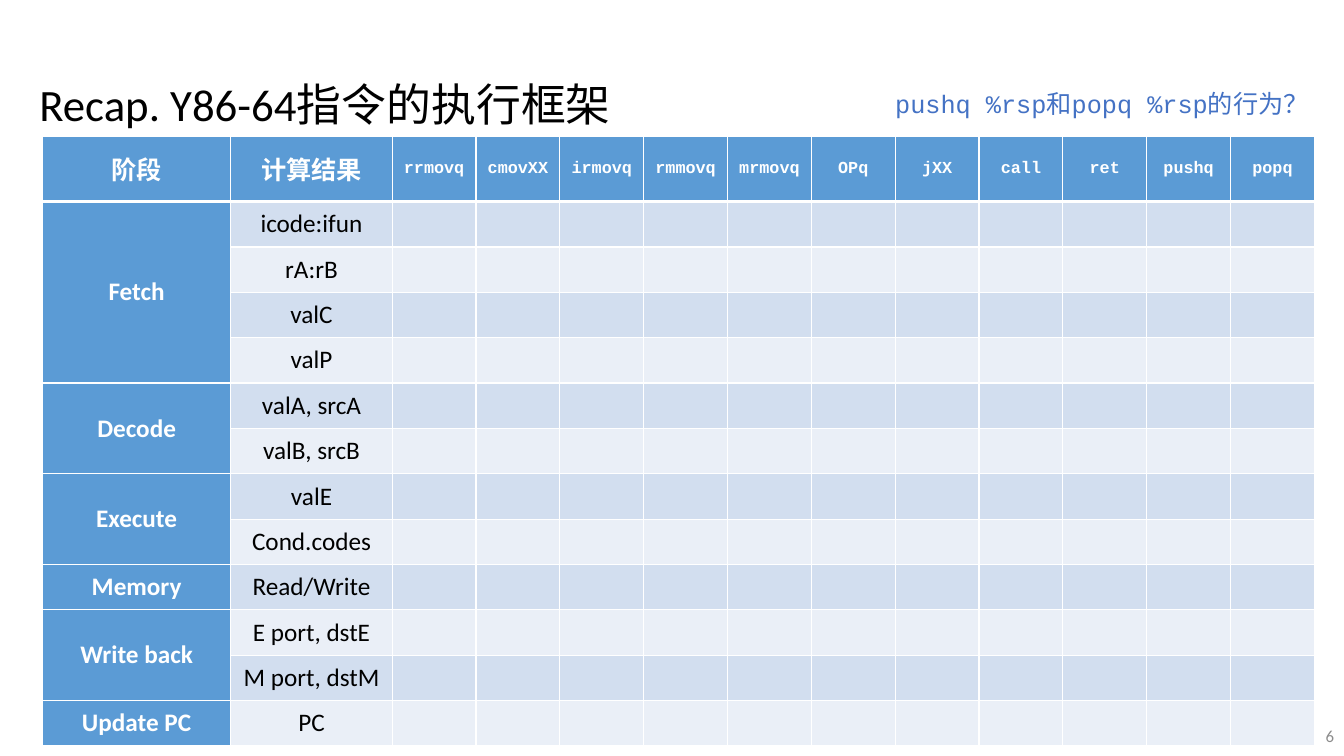
"""Builds the Y86-64 instruction execution framework slide."""
from lxml import etree
from pptx import Presentation
from pptx.dml.color import RGBColor
from pptx.enum.text import MSO_ANCHOR, PP_ALIGN
from pptx.oxml.ns import qn
from pptx.util import Inches, Pt

COLORS = {
    "header": "5B9BD5",
    "band_dark": "D2DEEF",
    "band_light": "EAEFF7",
    "white": "FFFFFF",
    "black": "000000",
    "question": "4472C4",
    "number": "8C8C8C",
}
TEXT_FONT = "Calibri"
CODE_FONT = "Courier New"
INSTRUCTIONS = ["rrmovq", "cmovXX", "irmovq", "rmmovq", "mrmovq", "OPq",
                "jXX", "call", "ret", "pushq", "popq"]
STAGES = [
    ("Fetch", ["icode:ifun", "rA:rB", "valC", "valP"]),
    ("Decode", ["valA, srcA", "valB, srcB"]),
    ("Execute", ["valE", "Cond.codes"]),
    ("Memory", ["Read/Write"]),
    ("Write back", ["E port, dstE", "M port, dstM"]),
    ("Update PC", ["PC"]),
]


def write_text(text_frame, text, size, color, font=TEXT_FONT, bold=False,
               align=PP_ALIGN.LEFT):
    text_frame.text = text
    paragraph = text_frame.paragraphs[0]
    paragraph.alignment = align
    for run in paragraph.runs:
        run.font.size = Pt(size)
        run.font.name = font
        run.font.bold = bold
        run.font.color.rgb = RGBColor.from_string(COLORS[color])


def add_text(slide, box, text, size, color, anchor=MSO_ANCHOR.TOP, wrap=True, **style):
    shape = slide.shapes.add_textbox(*[Inches(length) for length in box])
    shape.text_frame.word_wrap = wrap
    shape.text_frame.vertical_anchor = anchor
    write_text(shape.text_frame, text, size, color, **style)


def add_title(slide, text):
    title = slide.shapes.title
    title.left, title.top = Inches(0.29), Inches(0.71)
    title.width, title.height = Inches(8.35), Inches(0.64)
    title.text_frame.vertical_anchor = MSO_ANCHOR.TOP
    write_text(title.text_frame, text, 32, "black")


def style_cell(cell, fill, top=1, bottom=1):
    properties = cell._tc.get_or_add_tcPr()
    for side, width in (("L", 1), ("R", 1), ("T", top), ("B", bottom)):
        line = etree.SubElement(properties, qn(f"a:ln{side}"), w=str(Pt(width)))
        solid = etree.SubElement(line, qn("a:solidFill"))
        etree.SubElement(solid, qn("a:srgbClr"), val=COLORS["white"])
    cell.fill.solid()
    cell.fill.fore_color.rgb = RGBColor.from_string(COLORS[fill])
    cell.vertical_anchor = MSO_ANCHOR.MIDDLE


def write_cell(cell, text, size=18, color="white", font=TEXT_FONT, bold=True):
    write_text(cell.text_frame, text, size, color, font, bold, PP_ALIGN.CENTER)


def add_stage_table(slide):
    row_count = 1 + sum(len(results) for stage, results in STAGES)
    column_count = 2 + len(INSTRUCTIONS)
    table = slide.shapes.add_table(row_count, column_count, Inches(0.42), Inches(1.35),
                                   Inches(12.62), Inches(6.05)).table
    for index, column in enumerate(table.columns):
        column.width = Inches(9.15) // len(INSTRUCTIONS)
        if index < 2:
            column.width = Inches((1.87, 1.6)[index])
    for index, row in enumerate(table.rows):
        row.height = Inches(0.45 if index else 0.65)
        band = "band_dark" if index % 2 else "band_light"
        for position, cell in enumerate(row.cells):
            fill = "header" if index == 0 or position == 0 else band
            style_cell(cell, fill, top=3 if index == 1 else 1,
                       bottom=1 if index else 3)

    write_cell(table.cell(0, 0), "阶段")
    write_cell(table.cell(0, 1), "计算结果")
    for column, instruction in enumerate(INSTRUCTIONS, start=2):
        write_cell(table.cell(0, column), instruction, size=12, font=CODE_FONT)

    first = 1
    for stage, results in STAGES:
        last = first + len(results) - 1
        if last > first:
            table.cell(first, 0).merge(table.cell(last, 0))
        write_cell(table.cell(first, 0), stage)
        for row, result in enumerate(results, start=first):
            write_cell(table.cell(row, 1), result, color="black", bold=False)
        first = last + 1


def main():
    presentation = Presentation()
    presentation.slide_width = Inches(13.33)
    presentation.slide_height = Inches(7.5)
    slide = presentation.slides.add_slide(presentation.slide_layouts[5])
    add_text(slide, (10.33, 7.1, 3, 0.4), "6", 12, "number",
             anchor=MSO_ANCHOR.MIDDLE, align=PP_ALIGN.RIGHT)
    add_stage_table(slide)
    add_title(slide, "Recap. Y86-64指令的执行框架")
    add_text(slide, (8.78, 0.83, 4.38, 0.4), "pushq %rsp和popq %rsp的行为？", 18,
             "question", wrap=False, font=CODE_FONT)
    presentation.save("out.pptx")


if __name__ == "__main__":
    main()
